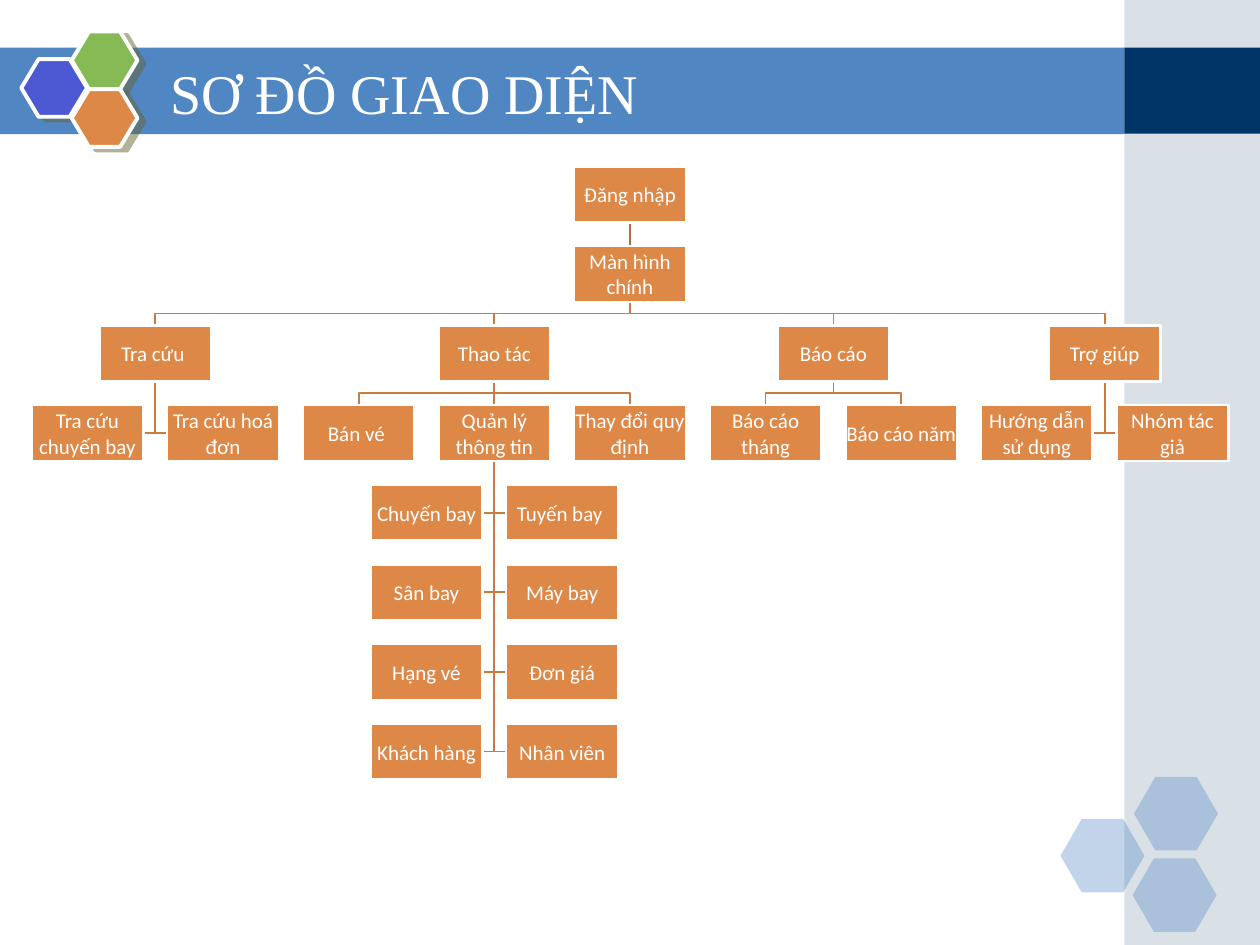
from lxml.etree import SubElement
from pptx import Presentation
from pptx.dml.color import RGBColor
from pptx.enum.shapes import MSO_CONNECTOR as Connector, MSO_SHAPE as Preset
from pptx.enum.text import MSO_ANCHOR as Anchor, PP_ALIGN as Align
from pptx.oxml.ns import qn
from pptx.util import Pt

COLORS = {
    "band": "5086C2", "side": "A0B5C4", "navy": "003366", "white": "FFFFFF",
    "violet": "4C59D2", "green": "85BA54", "orange": "DE8848",
    "shadow": "666633", "link": "C97B41", "root_link": "B26D3A",
}

# Chart grid: columns are half a box pitch apart, counted from the centre
COLUMN, ROW, GAP = 38.75, 45.5, 13.5
BOX_WIDTH, BOX_HEIGHT = 2 * COLUMN - GAP, ROW - GAP

# Each node: label, column, row, how its children hang, children
CATALOG = [
    (label, column, row, "below", [])
    for row, pair in enumerate([("Chuyến bay", "Tuyến bay "), ("Sân bay", "Máy bay"),
                                ("Hạng vé", "Đơn giá"), ("Khách hàng", "Nhân viên")], 4)
    for label, column in zip(pair, (-3, -1))
]


def leaf(label, column):
    return label, column, 3, "below", []


TREE = ("Đăng nhập", 0, 0, "below", [
    ("Màn hình chính", 0, 1, "below", [
        ("Tra cứu ", -7, 2, "beside",
         [leaf("Tra cứu chuyến bay", -8), leaf("Tra cứu hoá đơn", -6)]),
        ("Thao tác", -2, 2, "below", [
            leaf("Bán vé ", -4),
            ("Quản lý thông tin", -2, 3, "beside", CATALOG),
            leaf("Thay đổi quy định", 0),
        ]),
        ("Báo cáo", 3, 2, "below", [leaf("Báo cáo tháng", 2), leaf("Báo cáo năm", 4)]),
        ("Trợ giúp", 7, 2, "beside",
         [leaf("Hướng dẫn sử dụng", 6), leaf("Nhóm tác giả", 8)]),
    ]),
])


def rgb(name):
    return RGBColor.from_string(COLORS[name])


def add_alpha(color, percent):
    SubElement(color, qn("a:alpha"), val=str(percent * 1000))


def add_filled(slide, preset, box, fill, line_width=0, alpha=None):
    shape = slide.shapes.add_shape(preset, *map(Pt, box))
    shape.shadow.inherit = False
    shape.fill.solid()
    shape.fill.fore_color.rgb = rgb(fill)
    if alpha:
        add_alpha(shape._element.spPr.find(".//" + qn("a:srgbClr")), alpha)
    if line_width:
        shape.line.color.rgb = rgb("white")
        shape.line.width = Pt(line_width)
    else:
        shape.line.fill.background()
    return shape


def style_text(shape, size, font, align):
    frame = shape.text_frame
    frame.word_wrap = True
    frame.vertical_anchor = Anchor.MIDDLE
    for paragraph in frame.paragraphs:
        paragraph.alignment = align
        for run in paragraph.runs:
            run.font.size = Pt(size)
            run.font.name = font
            run.font.color.rgb = rgb("white")


def add_backdrop(slide, left, top, width, height):
    side = 77.5
    edge = left + width - side
    add_filled(slide, Preset.RECTANGLE, (left, top + 27.2, width - side, 49.4), "band")
    add_filled(slide, Preset.RECTANGLE, (edge, top, side, height), "side", alpha=40)
    add_filled(slide, Preset.RECTANGLE, (edge, top + 27.2, side, 49.2), "navy")


def add_corner_hexagons(slide, left, top):
    for dx, dy in ((0, 24), (42, 0), (41.2, 46.5)):
        hexagon = add_filled(slide, Preset.HEXAGON, (left + dx, top + dy, 48, 42),
                             "band", alpha=35)
        hexagon.adjustments[0] = 0.29


def add_emblem(slide, left, top):
    for dx, dy, fill in ((0, 15.8, "violet"), (28.8, 0, "green"), (28.8, 33, "orange")):
        hexagon = add_filled(slide, Preset.HEXAGON, (left + dx, top + dy, 37.6, 33),
                             fill, line_width=2.25)
        hexagon.adjustments[0] = 0.3
        effects = hexagon._element.spPr.find(qn("a:effectLst"))
        shadow = SubElement(effects, qn("a:outerShdw"), dist=str(Pt(4.5)),
                            dir=str(27 * 60000), algn="ctr", rotWithShape="0")
        add_alpha(SubElement(shadow, qn("a:srgbClr"), val=COLORS["shadow"]), 50)


def add_title(slide, left, top, width, height):
    title = slide.shapes.title
    title.left, title.top, title.width, title.height = map(Pt, (left, top, width, height))
    title.text_frame.text = "SƠ ĐỒ GIAO DIỆN"
    style_text(title, 32, "Times New Roman", Align.LEFT)
    slide.shapes._spTree.append(title._element)  # bring in front of the band


def add_link(slide, points, color):
    points = [(Pt(x), Pt(y)) for x, y in points]
    if len({x for x, _ in points}) == 1:
        link = slide.shapes.add_connector(Connector.STRAIGHT, *points[0], *points[-1])
        SubElement(link._element.spPr, qn("a:effectLst"))
    else:
        builder = slide.shapes.build_freeform(*points[0])
        builder.add_line_segments(points[1:], close=False)
        link = builder.convert_to_shape()
        link.shadow.inherit = False
        link.fill.background()
    link.line.color.rgb = rgb(color)
    link.line.width = Pt(1)


def add_links(slide, node, center, top):
    _, column, row, hang, children = node
    x, bottom = center + column * COLUMN, top + row * ROW + BOX_HEIGHT
    for child in children:
        child_x, child_top = center + child[1] * COLUMN, top + child[2] * ROW
        if hang == "beside":
            side = 1 if child_x > x else -1
            middle = child_top + BOX_HEIGHT / 2
            points = [(x, bottom), (x, middle), (x + side * GAP / 2, middle)]
        else:
            bend = bottom + GAP / 2
            points = [(x, bottom), (x, bend), (child_x, bend), (child_x, child_top)]
        add_link(slide, points, "link" if row else "root_link")
        add_links(slide, child, center, top)


def add_boxes(slide, node, center, top):
    label, column, row, _, children = node
    left = center + column * COLUMN - BOX_WIDTH / 2
    box = add_filled(slide, Preset.RECTANGLE,
                     (left, top + row * ROW, BOX_WIDTH, BOX_HEIGHT), "orange", line_width=1.5)
    frame = box.text_frame
    frame.margin_left = frame.margin_right = frame.margin_top = frame.margin_bottom = Pt(0.6)
    frame.text = label
    style_text(box, 12, "Calibri", Align.CENTER)
    for child in children:
        add_boxes(slide, child, center, top)


def add_tree(slide, left, top, width):
    center = left + width / 2
    add_links(slide, TREE, center, top)
    add_boxes(slide, TREE, center, top)


def main():
    presentation = Presentation()
    presentation.slide_width, presentation.slide_height = Pt(720), Pt(540)
    slide = presentation.slides.add_slide(presentation.slide_layouts[5])

    # Background and header
    add_backdrop(slide, 0, 0, 720, 540)
    add_corner_hexagons(slide, 606, 444)
    add_emblem(slide, 12.2, 18)
    add_title(slide, 90, 30, 528, 45)

    # Screen hierarchy
    add_tree(slide, 18, 95, 684)
    presentation.save("out.pptx")


if __name__ == "__main__":
    main()
